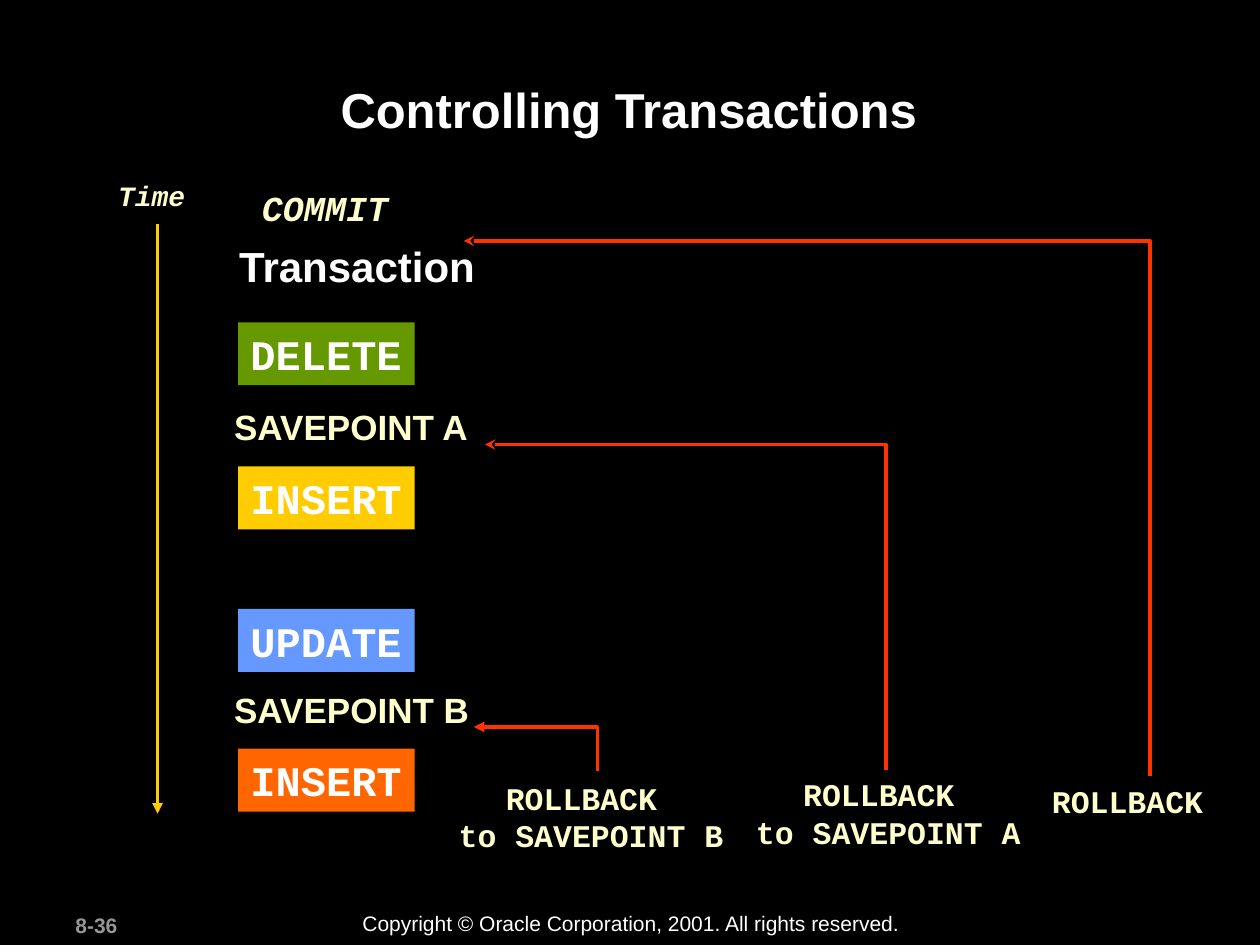
from lxml.etree import SubElement as Sub
from pptx import Presentation
from pptx.dml.color import RGBColor as Rgb
from pptx.enum.shapes import MSO_CONNECTOR as Conn, MSO_SHAPE as Kind
from pptx.enum.text import MSO_ANCHOR as Anchor, PP_ALIGN as Align
from pptx.oxml.ns import qn
from pptx.util import Pt

HUES = {
    "black": "000000", "white": "FFFFFF", "cream": "FFFFCC", "gray": "969696",
    "green": "669900", "gold": "FFCC00", "blue": "6699FF", "orange": "FF6600",
    "red": "FF3300",
}
SANS, MONO = "Arial", "Courier New"


class Board:
    def __init__(self, deck):
        self.slide = deck.slides.add_slide(deck.slide_layouts[6])
        self.shapes = self.slide.shapes
        self.paint(self.slide.background.fill, "black")

    def paint(self, fill, hue):
        fill.solid()
        fill.fore_color.rgb = Rgb.from_string(HUES[hue])

    def letter(self, shape, text, size, face, hue, bold=True, slant=False,
               mid=False, wrap=True):
        frame = shape.text_frame
        frame.text = text
        frame.word_wrap = wrap
        frame.vertical_anchor = Anchor.TOP
        for para in frame.paragraphs:
            para.alignment = Align.CENTER if mid else Align.LEFT
            for run in para.runs:
                font = run.font
                font.size, font.name = Pt(size), face
                font.bold, font.italic = bold, slant
                font.color.rgb = Rgb.from_string(HUES[hue])

    def label(self, box, text, size, face, hue, **style):
        shape = self.shapes.add_textbox(*map(Pt, box))
        self.letter(shape, text, size, face, hue, **style)

    def block(self, box, text, hue):
        shape = self.shapes.add_shape(Kind.RECTANGLE, *map(Pt, box))
        shape.shadow.inherit = False
        self.paint(shape.fill, hue)
        shape.line.fill.background()
        self.letter(shape, text, 24, MONO, "white", wrap=False)

    def stroke(self, shape, hue, tip):
        self.paint(shape.line.fill, hue)
        shape.line.width = Pt(2)
        props = shape.element.spPr
        Sub(props.find(qn("a:ln")), qn("a:tailEnd"), type=tip)
        Sub(props, qn("a:effectLst"))

    def arrow(self, ends, hue):
        line = self.shapes.add_connector(Conn.STRAIGHT, *map(Pt, ends))
        self.stroke(line, hue, "triangle")

    def elbow(self, left, top, right, base, tip):
        route = self.shapes.build_freeform(Pt(right), Pt(base))
        route.add_line_segments(
            [(Pt(right), Pt(top)), (Pt(left), Pt(top))], close=False)
        shape = route.convert_to_shape()
        shape.fill.background()
        self.stroke(shape, "red", tip)


def main():
    deck = Presentation()
    deck.slide_width, deck.slide_height = Pt(720), Pt(540)
    board = Board(deck)

    board.label((36, 517.7, 75.6, 21.6), "8-36", 12, SANS, "gray")
    board.label((200, 517, 322.6, 21.6),
                "Copyright © Oracle Corporation, 2001. All rights reserved.",
                12, SANS, "white", bold=False)
    board.label((67.7, 41.8, 583.2, 69), "Controlling Transactions",
                28, SANS, "white", mid=True)

    for name, top in (("A", 228.4), ("B", 389.8)):
        board.label((126.7, top, 161.3, 31), f"SAVEPOINT {name}",
                    20, SANS, "cream")

    steps = (("DELETE", "green", 184.2), ("INSERT", "gold", 266.6),
             ("UPDATE", "blue", 348), ("INSERT", "orange", 427.8))
    for word, hue, top in steps:
        board.block((136, top, 101, 36), word, hue)

    board.label((142.6, 103, 102.2, 31), "COMMIT", 20, MONO, "cream",
                slant=True)
    board.label((60.5, 98.6, 57.6, 26.6), "Time", 16, MONO, "cream",
                slant=True)
    board.label((129.6, 134, 150.5, 36), "Transaction", 24, SANS, "white",
                wrap=False)
    board.arrow((90, 128.2, 90, 465), "gold")

    for name, left, top in (("B", 254.9, 441.4), ("A", 424.8, 439.2)):
        board.label((left, top, 165.6, 50.4),
                    f"ROLLBACK \nto SAVEPOINT {name}", 18, MONO, "cream",
                    mid=True, wrap=False)
    board.label((594, 443.5, 100.8, 28.8), "ROLLBACK", 18, MONO, "cream",
                wrap=False)

    board.elbow(270.7, 415.4, 341.3, 440.6, "triangle")
    board.elbow(277.2, 254, 506.2, 440, "stealth")
    board.elbow(265, 137.7, 657, 443.5, "stealth")

    deck.save("out.pptx")


if __name__ == "__main__":
    main()
